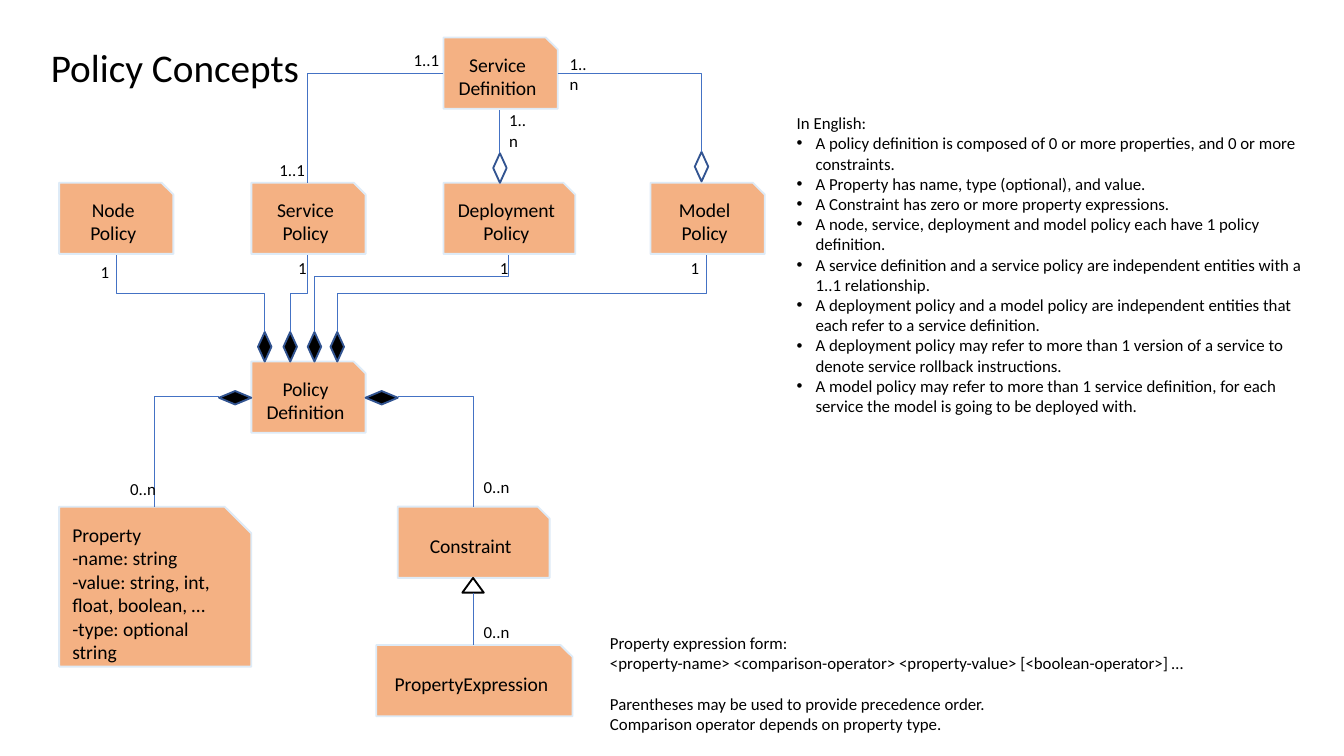
from dataclasses import dataclass

from lxml.etree import SubElement
from pptx import Presentation
from pptx.dml.color import RGBColor
from pptx.enum.shapes import MSO_CONNECTOR, MSO_SHAPE
from pptx.enum.text import MSO_ANCHOR, PP_ALIGN
from pptx.oxml.ns import qn
from pptx.util import Inches, Pt


@dataclass(frozen=True)
class Theme:
    font: str = "Calibri"
    text: RGBColor = RGBColor(0, 0, 0)
    box: RGBColor = RGBColor(0xF4, 0xB1, 0x83)
    box_line: RGBColor = RGBColor(0xDE, 0xEB, 0xF7)
    diamond_line: RGBColor = RGBColor(0x32, 0x54, 0x91)
    connector: RGBColor = RGBColor(0x44, 0x72, 0xC4)
    title_size: float = 21
    box_size: float = 10.5
    note_size: float = 9


theme = Theme()
prs = Presentation()
prs.slide_width, prs.slide_height = Inches(10), Inches(10 * 9 / 16)
s = prs.slides.add_slide(prs.slide_layouts[6])


def write(sp, text, size, align=PP_ALIGN.LEFT):
    tf = sp.text_frame
    tf.word_wrap = True
    tf.text = text
    for p in tf.paragraphs:
        p.alignment = align
        for r in p.runs:
            r.font.name = theme.font
            r.font.size = Pt(size)
            r.font.color.rgb = theme.text
    return tf


def connect(kind, x1, y1, x2, y2):
    c = s.shapes.add_connector(kind, Inches(x1), Inches(y1), Inches(x2), Inches(y2))
    c.line.color.rgb = theme.connector
    c.line.width = Pt(0.5)
    SubElement(c._element.spPr, qn("a:effectLst"))
    return c


# Class boxes
CENTER, LEFT = PP_ALIGN.CENTER, PP_ALIGN.LEFT
property_text = "Property\n-name: string\n-value: string, int, float, boolean, …\n-type: optional string"
boxes = [
    ("Service Definition", 3.3, 0.28, 0.85, 0.53, CENTER),
    ("Node Policy", 0.44, 1.36, 0.85, 0.53, CENTER),
    ("Service Policy", 1.87, 1.36, 0.85, 0.53, CENTER),
    ("Deployment Policy", 3.3, 1.36, 0.98, 0.53, CENTER),
    ("Model Policy", 4.84, 1.36, 0.85, 0.53, CENTER),
    ("Policy Definition", 1.87, 2.69, 0.85, 0.53, CENTER),
    (property_text, 0.44, 3.77, 1.43, 1.19, LEFT),
    ("Constraint", 2.96, 3.77, 1.13, 0.53, CENTER),
    ("PropertyExpression", 2.8, 4.8, 1.46, 0.53, CENTER),
]
for text, x, y, w, h, align in boxes:
    sp = s.shapes.add_shape(MSO_SHAPE.SNIP_1_RECTANGLE, Inches(x), Inches(y), Inches(w), Inches(h))
    sp.shadow.inherit = False
    sp.fill.solid()
    sp.fill.fore_color.rgb = theme.box
    sp.line.color.rgb = theme.box_line
    sp.line.width = Pt(1)
    write(sp, text, theme.box_size, align).vertical_anchor = MSO_ANCHOR.MIDDLE

# Relationship ends: filled diamonds compose, open ones aggregate
diamonds = [(x, 2.47, 0.1, 0.22, True) for x in (1.92, 2.11, 2.29, 2.46)]
diamonds += [(x, 2.91, 0.24, 0.1, True) for x in (1.63, 2.72)]
diamonds += [(3.67, 1.14, 0.1, 0.22, False), (5.17, 1.13, 0.1, 0.22, False)]
ends = [(MSO_SHAPE.FLOWCHART_DECISION, theme.diamond_line, *d) for d in diamonds]
ends.append((MSO_SHAPE.ISOSCELES_TRIANGLE, theme.text, 3.44, 4.3, 0.16, 0.11, False))
for shape, color, x, y, w, h, filled in ends:
    sp = s.shapes.add_shape(shape, Inches(x), Inches(y), Inches(w), Inches(h))
    sp.shadow.inherit = False
    if filled:
        sp.fill.solid()
        sp.fill.fore_color.rgb = theme.text
    else:
        sp.fill.background()
    sp.line.color.rgb = color
    sp.line.width = Pt(1)

# Straight connectors
connect(MSO_CONNECTOR.STRAIGHT, 3.52, 4.41, 3.52, 4.8)
connect(MSO_CONNECTOR.STRAIGHT, 3.72, 1.14, 3.72, 0.82)

# One-corner connectors: sideways, then down
for corner in [
    (1.63, 2.95, 1.15, 3.77),
    (2.96, 2.95, 3.52, 3.77),
    (3.3, 0.55, 2.29, 1.36),
    (4.15, 0.55, 5.22, 1.13),
]:
    c = connect(MSO_CONNECTOR.ELBOW, *corner)
    c._element.spPr.find(qn("a:prstGeom")).set("prst", "bentConnector2")

# Policies to Policy Definition: down, across, down (a quarter turn of the elbow)
top, bottom = 1.9, 2.47
mid, half = (top + bottom) / 2, (bottom - top) / 2
for x1, x2, bend in [(0.87, 1.97, 50000), (2.29, 2.16, 50000), (3.78, 2.34, 27800), (5.26, 2.51, 50000)]:
    cx, dx = (x1 + x2) / 2, (x2 - x1) / 2
    c = connect(MSO_CONNECTOR.ELBOW, cx - half, mid + dx, cx + half, mid - dx)
    spPr = c._element.spPr
    spPr.find(qn("a:xfrm")).set("rot", str(90 * 60000))
    guides = spPr.find(qn("a:prstGeom")).get_or_add_avLst()
    SubElement(guides, qn("a:gd"), name="adj1", fmla=f"val {bend}")

# Multiplicities
labels = [
    ("0..n", 0.87, 3.51, 0.48, 0.25),
    ("0..n", 3.5, 3.5, 0.48, 0.25),
    ("0..n", 3.5, 4.58, 0.48, 0.25),
    ("1", 0.65, 1.9, 0.22, 0.25),
    ("1", 2.12, 1.87, 0.22, 0.25),
    ("1", 3.62, 1.87, 0.22, 0.25),
    ("1", 5.04, 1.87, 0.22, 0.25),
    ("1..1", 1.98, 1.14, 0.52, 0.25),
    ("1..1", 2.98, 0.32, 0.52, 0.25),
    ("1..n", 4.14, 0.35, 0.36, 0.4),
    ("1..n", 3.69, 0.77, 0.36, 0.4),
]
for text, x, y, w, h in labels:
    sp = s.shapes.add_textbox(Inches(x), Inches(y), Inches(w), Inches(h))
    write(sp, text, theme.note_size)

# Title and notes
sp = s.shapes.add_textbox(Inches(0.28), Inches(0.27), Inches(2.07), Inches(0.45))
write(sp, "Policy Concepts", theme.title_size).word_wrap = False

expression_lines = [
    "Property expression form:",
    "<property-name> <comparison-operator> <property-value> [<boolean-operator>] …",
    "Parentheses may be used to provide precedence order.",
    "Comparison operator depends on property type.",
]
sp = s.shapes.add_textbox(Inches(4.44), Inches(4.66), Inches(4.58), Inches(0.86))
tf = write(sp, "\n".join(expression_lines), theme.note_size)
tf.paragraphs[2].space_before = Pt(11)

english_lines = [
    "In English:",
    "A policy definition is composed of 0 or more properties, and 0 or more constraints.",
    "A Property has name, type (optional), and value.",
    "A Constraint has zero or more property expressions.",
    "A node, service, deployment and model policy each have 1 policy definition.",
    "A service definition and a service policy are independent entities with a 1..1 relationship.",
    "A deployment policy and a model policy are independent entities that each refer to a service definition.",
    "A deployment policy may refer to more than 1 version of a service to denote service rollback instructions.",
    "A model policy may refer to more than 1 service definition, for each service the model is going to be "
    "deployed with.",
]
sp = s.shapes.add_textbox(Inches(5.83), Inches(0.79), Inches(4), Inches(2.52))
tf = write(sp, "\n".join(english_lines), theme.note_size)
for p in tf.paragraphs[1:]:
    pPr = p._p.get_or_add_pPr()
    pPr.set("marL", str(Inches(0.14)))
    pPr.set("indent", str(-Inches(0.14)))
    SubElement(pPr, qn("a:buFont"), typeface="Arial")
    SubElement(pPr, qn("a:buChar"), char="•")

prs.save("out.pptx")
